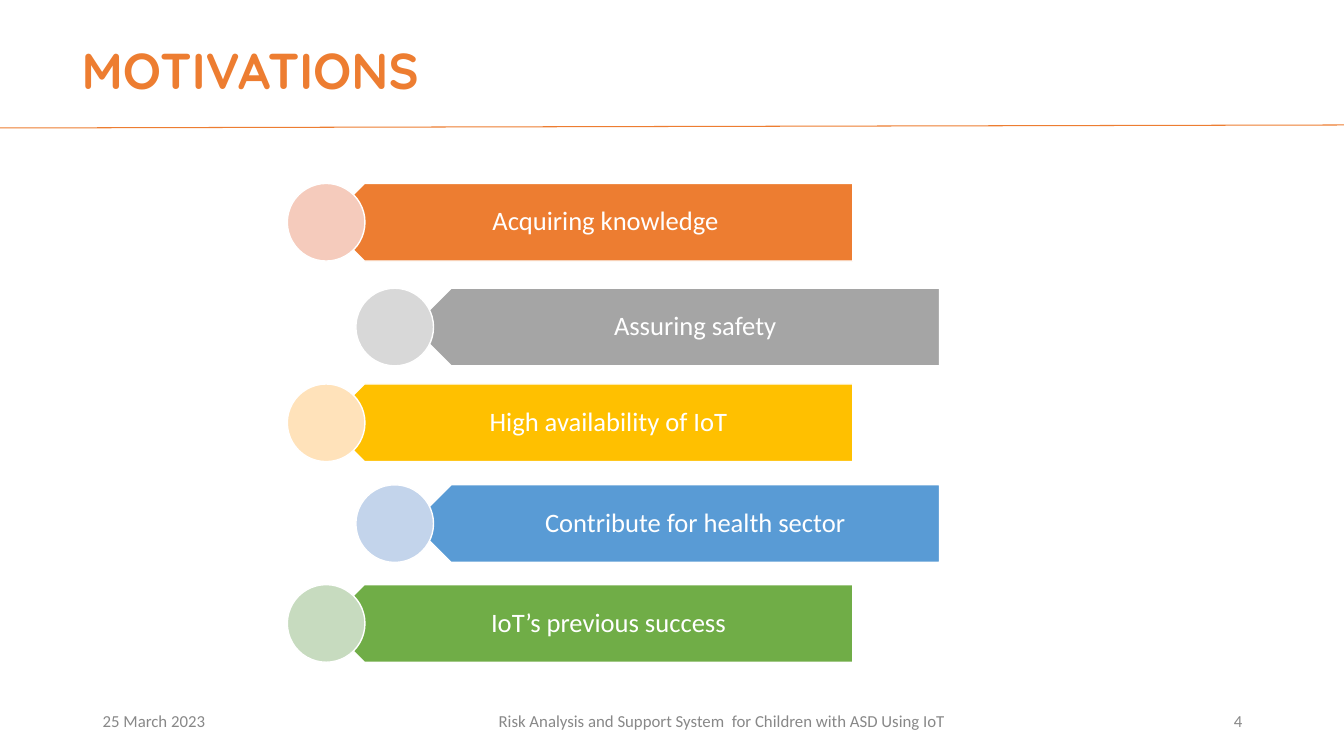
from pptx import Presentation
from pptx.dml.color import RGBColor
from pptx.enum.shapes import MSO_CONNECTOR, MSO_SHAPE
from pptx.enum.text import MSO_ANCHOR as Anchor, MSO_AUTO_SIZE, PP_ALIGN as Align
from pptx.oxml.ns import qn
from pptx.util import Inches, Pt
from lxml import etree

TITLE = "MOTIVATIONS"
ORANGE, WHITE, GREY = "ED7D31", "FFFFFF", "888888"

# text, top, banner colour, circle colour
MOTIVATIONS = [
    ("Acquiring knowledge ", 1.82, ORANGE, "F5CBBC"),
    ("Assuring safety", 2.86, "A5A5A5", "D8D8D8"),
    ("High availability of IoT", 3.81, "FFC000", "FFE2BA"),
    ("Contribute for health sector", 4.81, "599BD5", "C3D4EB"),
    ("IoT’s previous success", 5.8, "70AD47", "C7DBBF"),
]
# text, left, width, alignment
FOOTERS = [
    ("25 March 2023", 0.92, 3, Align.LEFT),
    ("Risk Analysis and Support System  for Children with ASD Using IoT",
     3.92, 6.48, Align.CENTER),
    ("4", 9.42, 3, Align.RIGHT),
]

SIZE = 0.77                  # banner height and circle diameter
BANNER_WIDTH = 5.23
BANNER_LEFTS = (3.23, 4.09)  # rows alternate between the two
CIRCLE_LEFTS = (2.85, 3.53)


def rgb(color):
    return RGBColor.from_string(color)


def paint(sp, fill):
    sp.shadow.inherit = False
    sp.fill.solid()
    sp.fill.fore_color.rgb = rgb(fill)
    sp.line.color.rgb = rgb(WHITE)
    sp.line.width = Pt(1)


def write(tf, text, size, color, align, anchor=Anchor.MIDDLE, font="Calibri"):
    tf.word_wrap = True
    tf.auto_size = MSO_AUTO_SIZE.NONE
    tf.vertical_anchor = anchor
    p = tf.paragraphs[0]
    p.alignment = align
    r = p.add_run()
    r.text = text
    r.font.name = font
    r.font.size = Pt(size)
    r.font.color.rgb = rgb(color)
    return p


def add_banner(shapes, left, top, text, fill):
    """Draw a bar whose left end comes to a point."""
    right, shoulder = left + BANNER_WIDTH, left + SIZE / 2
    outline = [(shoulder, top + SIZE), (left, top + SIZE / 2),
               (shoulder, top), (right, top)]
    builder = shapes.build_freeform(Inches(right), Inches(top + SIZE))
    builder.add_line_segments([(Inches(x), Inches(y)) for x, y in outline])
    sp = builder.convert_to_shape()
    paint(sp, fill)
    tf = sp.text_frame
    tf.margin_left, tf.margin_right = Inches(0.53), Inches(0.15)
    tf.margin_top = tf.margin_bottom = Inches(0.08)
    write(tf, text, 19, WHITE, Align.CENTER).line_spacing = 0.9


prs = Presentation()
prs.slide_width, prs.slide_height = Inches(13.33), Inches(7.5)
s = prs.slides.add_slide(prs.slide_layouts[5])
shapes = s.shapes

title = shapes.title
title.left, title.top = Inches(0.71), Inches(0.34)
title.width, title.height = Inches(11.06), Inches(0.7)
p = write(title.text_frame, TITLE, 36, ORANGE, Align.LEFT, Anchor.TOP, "Quicksand")
p.runs[0].font.bold = True

rule = shapes.add_connector(MSO_CONNECTOR.STRAIGHT, 0, Inches(1.27),
                            prs.slide_width, Inches(1.24))
rule.line.color.rgb = rgb(ORANGE)
rule.line.width = Pt(0.75)
etree.SubElement(rule._element.spPr, qn("a:effectLst"))

for row, (text, top, fill, tint) in enumerate(MOTIVATIONS):
    side = row % 2
    add_banner(shapes, BANNER_LEFTS[side], top, text, fill)
    circle = shapes.add_shape(MSO_SHAPE.OVAL, Inches(CIRCLE_LEFTS[side]),
                              Inches(top), Inches(SIZE), Inches(SIZE))
    paint(circle, tint)

for text, left, width, align in FOOTERS:
    box = shapes.add_textbox(Inches(left), Inches(6.95), Inches(width), Inches(0.4))
    write(box.text_frame, text, 12, GREY, align)

prs.save("out.pptx")
